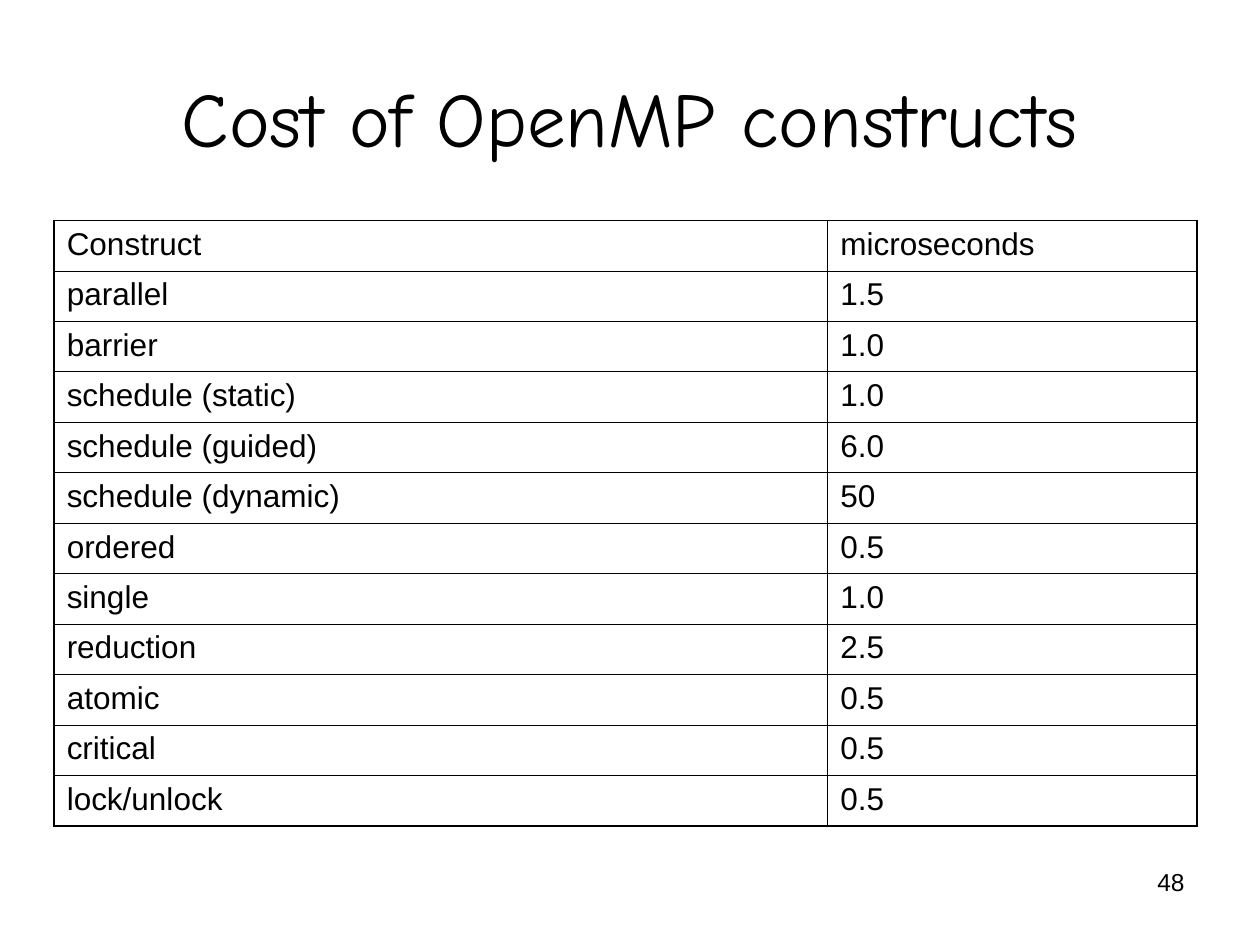
from lxml import etree
from pptx import Presentation
from pptx import util as u
from pptx.dml.color import RGBColor
from pptx.enum import text
from pptx.oxml import ns

BLACK = RGBColor(0x00, 0x00, 0x00)
WHITE = RGBColor(0xFF, 0xFF, 0xFF)
THICK, THIN = 1.08, 0.45

COSTS = [
    ("Construct", "microseconds"),
    ("parallel", "1.5"),
    ("barrier", "1.0"),
    ("schedule (static)", "1.0"),
    ("schedule (guided)", "6.0"),
    ("schedule (dynamic)", "50"),
    ("ordered", "0.5"),
    ("single", "1.0"),
    ("reduction", "2.5"),
    ("atomic", "0.5"),
    ("critical", "0.5"),
    ("lock/unlock", "0.5"),
]


def write(frame, words, font="Arial", size=18, color=BLACK,
          align=text.PP_ALIGN.LEFT, before=0):
    para = frame.paragraphs[0]
    para.alignment = align
    para.space_before = u.Pt(before)
    run = para.add_run()
    run.text = words
    run.font.name = font
    run.font.size = u.Pt(size)
    run.font.bold = False
    run.font.color.rgb = color


class Deck:
    """Holds the style and the current slide."""
    head = "Comic Neue"
    body = "Arial"
    ink = BLACK

    def __init__(self, show):
        self.slide = show.slides.add_slide(show.slide_layouts[5])
        fill = self.slide.background.fill
        fill.solid()
        fill.fore_color.rgb = WHITE

    def title(self, words, left, top, width, height):
        shape = self.slide.shapes.title
        shape.left, shape.top = u.Inches(left), u.Inches(top)
        shape.width, shape.height = u.Inches(width), u.Inches(height)
        frame = shape.text_frame
        frame.vertical_anchor = text.MSO_ANCHOR.MIDDLE
        write(frame, words, font=self.head, size=44, color=self.ink,
              align=text.PP_ALIGN.CENTER)

    def label(self, words, left, top, width, height, **form):
        box = self.slide.shapes.add_textbox(
            u.Inches(left), u.Inches(top), u.Inches(width), u.Inches(height))
        box.text_frame.word_wrap = True
        write(box.text_frame, words, font=self.body, color=self.ink, **form)

    def edge(self, cell, side, width):
        line = etree.SubElement(cell._tc.get_or_add_tcPr(),
                                ns.qn("a:ln" + side), w=str(u.Pt(width)))
        fill = etree.SubElement(line, ns.qn("a:solidFill"))
        etree.SubElement(fill, ns.qn("a:srgbClr"), val=str(self.ink))

    def table(self, rows, left, top, widths, height):
        count, span = len(rows), len(widths)
        grid = self.slide.shapes.add_table(
            count, span, u.Inches(left), u.Inches(top),
            u.Inches(sum(widths)), u.Inches(height * count)).table
        grid.first_row = grid.horz_banding = False
        for col, width in zip(grid.columns, widths):
            col.width = u.Inches(width)
        for r, row in enumerate(rows):
            grid.rows[r].height = u.Inches(height)
            for c, words in enumerate(row):
                cell = grid.cell(r, c)
                # Thick lines around the table, thin ones inside
                outer = {"L": c == 0, "R": c == span - 1,
                         "T": r == 0, "B": r == count - 1}
                for side, rim in outer.items():
                    self.edge(cell, side, THICK if rim else THIN)
                cell.fill.background()
                write(cell.text_frame, words, font=self.body,
                      color=self.ink, before=4.5)


def main():
    show = Presentation()
    show.slide_width, show.slide_height = u.Inches(10), u.Inches(7.5)
    deck = Deck(show)

    # Page number
    deck.label("48", 7.17, 6.83, 2.33, 0.52, size=14,
               align=text.PP_ALIGN.RIGHT)

    # Title and cost table
    deck.title("Cost of OpenMP constructs", 0.5, 0.3, 9, 1.25)
    deck.table(COSTS, 0.43, 1.75, [6.14, 2.93], 0.4)

    show.save("out.pptx")


if __name__ == "__main__":
    main()
